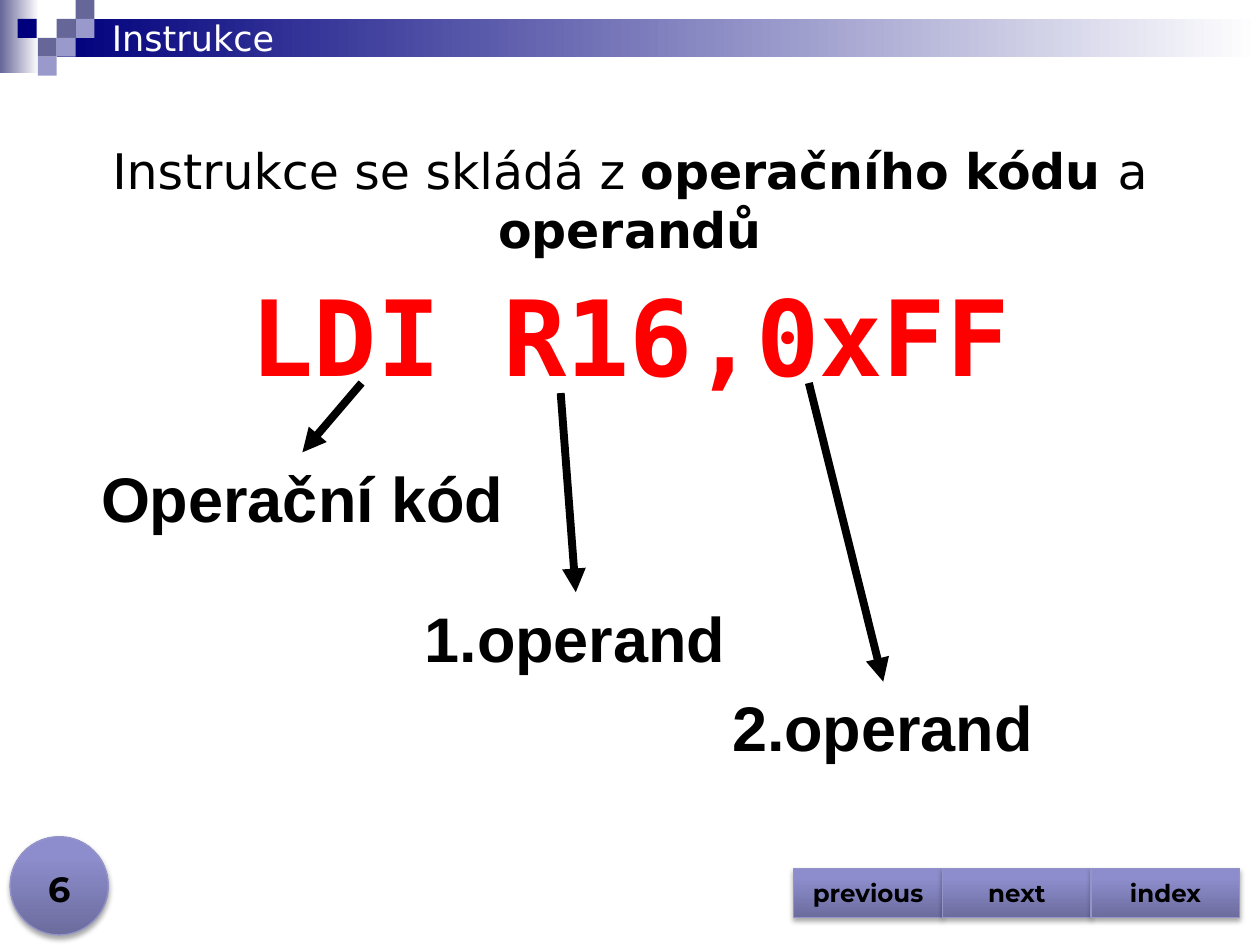
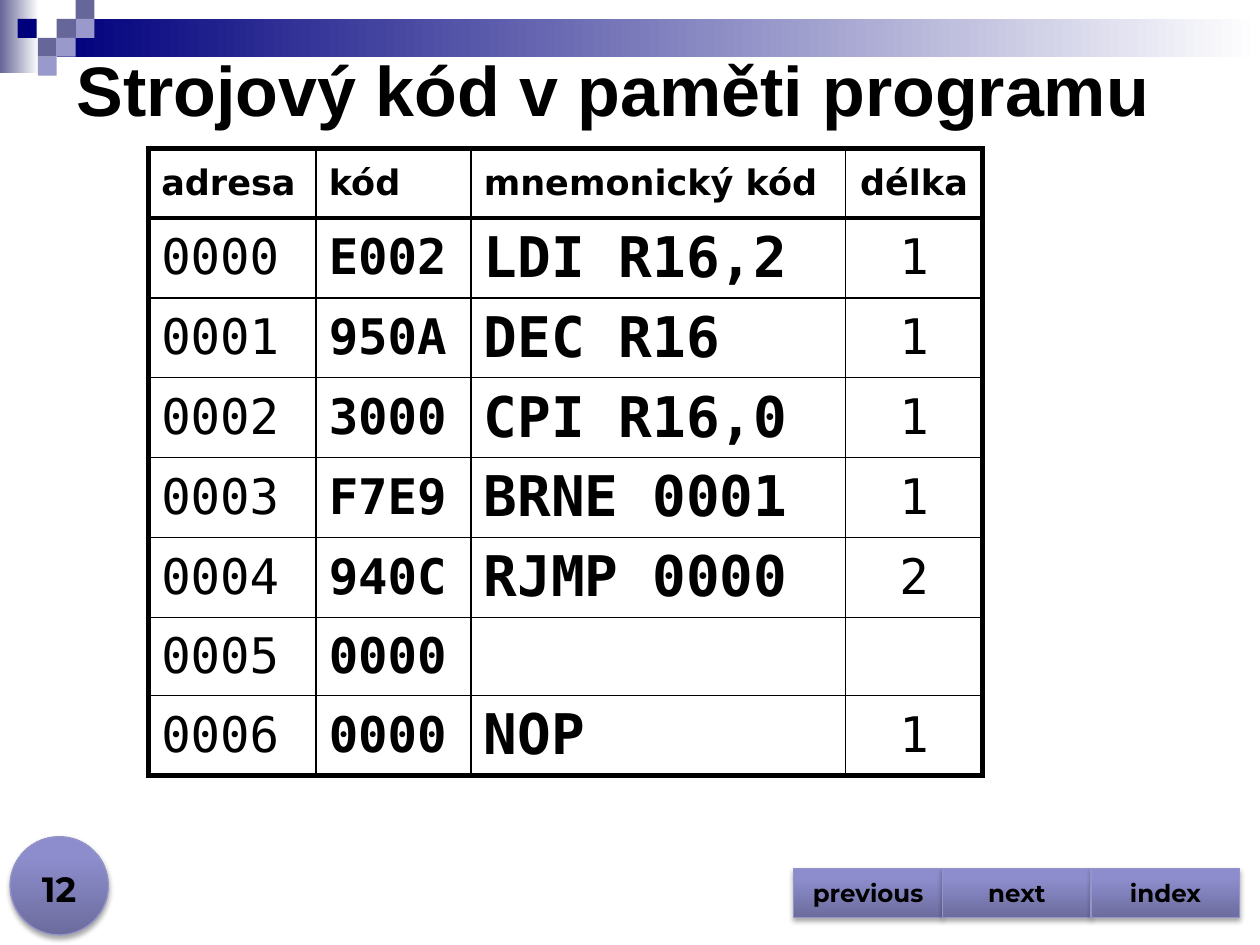
"""Build two slides on instruction format and machine code in program memory."""
from lxml import etree
from pptx import Presentation, util as u
from pptx.dml import color as dml
from pptx.enum import shapes, text
from pptx.oxml import ns, parse_xml

COLORS = {"navy": "00007D", "slate": "666699", "lavender": "9999CC", "white": "FFFFFF",
          "black": "000000", "red": "FF0000", "button_dark": "6C6C9E",
          "button_mid": "8D8DCD", "button_light": "8C8CCF", "button_line": "9494C9"}
SANS, MONO, ARIAL, NAVIGATION = "DejaVu Sans", "DejaVu Sans Mono", "Arial", "Montserrat"
LEFT, CENTER = text.PP_ALIGN.LEFT, text.PP_ALIGN.CENTER
TOP, MIDDLE, BOTTOM = text.MSO_ANCHOR.TOP, text.MSO_ANCHOR.MIDDLE, text.MSO_ANCHOR.BOTTOM
RECTANGLE = shapes.MSO_SHAPE.RECTANGLE
BUTTON_STOPS = [(0, "button_dark"), (80, "button_mid"), (100, "button_light")]
SQUARE = 0.15


def write(frame, words, size=36, font=ARIAL, color="black", bold=True, align=CENTER, anchor=MIDDLE):
    frame.word_wrap = True
    frame.vertical_anchor = anchor
    paragraph = frame.paragraphs[0]
    paragraph.alignment = align
    parts = [(words, bold)] if isinstance(words, str) else words
    for part, part_bold in parts:
        run = paragraph.add_run()
        run.text = part
        run.font.size = u.Pt(size)
        run.font.name = font
        run.font.bold = part_bold
        run.font.color.rgb = dml.RGBColor.from_string(COLORS[color])


def add_block(slide, preset, box, stops, angle=0, raised=False):
    shape = slide.shapes.add_shape(preset, *map(u.Inches, box))
    shape.shadow.inherit = False
    properties = shape._element.spPr
    if isinstance(stops, str):
        shape.fill.solid()
        shape.fill.fore_color.rgb = dml.RGBColor.from_string(COLORS[stops])
    else:
        shape.fill.gradient()
        shape.fill.gradient_angle = angle
        stop_list = properties.find(".//" + ns.qn("a:gsLst"))
        stop_list.clear()
        for position, name in stops:
            stop = etree.SubElement(stop_list, ns.qn("a:gs"), pos=str(position * 1000))
            etree.SubElement(stop, ns.qn("a:srgbClr"), val=COLORS[name])
    if raised:
        shape.line.color.rgb = dml.RGBColor.from_string(COLORS["button_line"])
        shape.line.width = u.Pt(0.75)
        properties.find(ns.qn("a:effectLst")).append(parse_xml(
            f'<a:outerShdw {ns.nsdecls("a")} blurRad="{u.Pt(3.1)}" dist="{u.Pt(1.8)}" dir="5400000" '
            f'rotWithShape="0"><a:srgbClr val="{COLORS["black"]}"><a:alpha val="35000"/>'
            '</a:srgbClr></a:outerShdw>'))
    else:
        shape.line.fill.background()
    return shape


presentation = Presentation()
presentation.slide_width, presentation.slide_height = u.Inches(10), u.Inches(7.5)
slides = []
for number in ("6", "12"):
    slide = presentation.slides.add_slide(presentation.slide_layouts[6])
    slides.append(slide)
    add_block(slide, RECTANGLE, (0, 0, 0.31, 0.58), [(0, "slate"), (100, "white")])
    add_block(slide, RECTANGLE, (0.45, 0.15, 9.55, 0.3), [(0, "navy"), (100, "white")])
    for left, top, color in [(0.45, 0.15, "slate"), (0.6, 0, "slate"), (0.6, 0.15, "lavender"),
                             (0.3, 0.3, "slate"), (0.14, 0.15, "navy"),
                             (0.45, 0.3, "lavender"), (0.3, 0.45, "lavender")]:
        add_block(slide, RECTANGLE, (left, top, SQUARE, SQUARE), color)
    add_block(slide, shapes.MSO_SHAPE.OVAL, (0.08, 6.64, 0.78, 0.78), BUTTON_STOPS, 90, True)
    number_box = slide.shapes.add_textbox(*map(u.Inches, (0, 6.77, 0.94, 0.5)))
    write(number_box.text_frame, number, size=20, font=NAVIGATION, anchor=BOTTOM)
    for index, label in enumerate(("previous", "next", "index")):
        button = add_block(slide, shapes.MSO_SHAPE.ACTION_BUTTON_CUSTOM,
                           (6.3 + index * 1.18, 6.89, 1.18, 0.39), BUTTON_STOPS, 90, True)
        write(button.text_frame, label, size=14, font=NAVIGATION)

instruction_slide, memory_slide = slides
sentence = [("Instrukce se skládá z ", False), ("operačního kódu ", True),
            ("a ", False), ("operandů", True)]
for slide, box, words, style in [
    (instruction_slide, (0.79, 0.08, 8.5, 0.44), "Instrukce",
     dict(size=20, font=SANS, color="white", bold=False, align=LEFT)),
    (instruction_slide, (0, 1.07, 10, 1.04), sentence, dict(size=28, font=SANS, anchor=TOP)),
    (instruction_slide, (0, 2.1, 10, 1.11), "LDI R16,0xFF", dict(size=60, font=MONO, color="red")),
    (instruction_slide, (0.67, 3.59, 3.46, 0.71), "Operační kód", {}),
    (instruction_slide, (3.11, 4.7, 2.91, 0.71), "1.operand", {}),
    (instruction_slide, (5.55, 5.41, 2.91, 0.71), "2.operand", {}),
    (memory_slide, (0.51, 0.31, 9.1, 0.79), "Strojový kód v paměti programu",
     dict(size=40, align=LEFT)),
]:
    text_box = slide.shapes.add_textbox(*map(u.Inches, box))
    write(text_box.text_frame, words, **style)

for ends in [(2.87, 3.04, 2.4, 3.59), (4.45, 3.12, 4.57, 4.7), (6.42, 3.04, 7.01, 5.41)]:
    arrow = instruction_slide.shapes.add_connector(shapes.MSO_CONNECTOR.STRAIGHT, *map(u.Inches, ends))
    arrow.line.width = u.Pt(4.5)
    arrow.line.color.rgb = dml.RGBColor.from_string(COLORS["black"])
    etree.SubElement(arrow.line._get_or_add_ln(), ns.qn("a:tailEnd"), type="triangle")
    etree.SubElement(arrow._element.spPr, ns.qn("a:effectLst"))

memory_rows = [
    ("adresa", "kód", "mnemonický kód", "délka"),
    ("0000", "E002", "LDI R16,2", "1"),
    ("0001", "950A", "DEC R16", "1"),
    ("0002", "3000", "CPI R16,0", "1"),
    ("0003", "F7E9", "BRNE 0001", "1"),
    ("0004", "940C", "RJMP 0000", "2"),
    ("0005", "0000", "", ""),
    ("0006", "0000", "NOP", "1"),
]
column_styles = [dict(size=28, bold=False, align=LEFT), dict(size=28, align=LEFT),
                 dict(size=32, align=LEFT), dict(size=28, bold=False)]
table = memory_slide.shapes.add_table(8, 4, *map(u.Inches, (1.18, 1.18, 6.62, 4.89))).table
table.first_row = table.horz_banding = False
for column, width in zip(table.columns, (1.33, 1.23, 2.97, 1.09)):
    column.width = u.Inches(width)
for row_index, values in enumerate(memory_rows):
    table.rows[row_index].height = u.Inches(0.62 if row_index else 0.55)
    for column_index, value in enumerate(values):
        cell = table.cell(row_index, column_index)
        cell.fill.background()
        cell.vertical_anchor = MIDDLE
        style = dict(column_styles[column_index], font=MONO)
        if row_index == 0:
            style.update(size=20, font=SANS, bold=True)
        if value:
            write(cell.text_frame, value, **style)
        thick_sides = {"L": column_index == 0, "R": column_index == 3,
                       "T": row_index <= 1, "B": row_index in (0, 7)}
        for position, (side, thick) in enumerate(thick_sides.items()):
            cell._tc.get_or_add_tcPr().insert(position, parse_xml(
                f'<a:ln{side} {ns.nsdecls("a")} w="{u.Pt(3 if thick else 1)}"><a:solidFill>'
                f'<a:srgbClr val="{COLORS["black"]}"/></a:solidFill></a:ln{side}>'))

presentation.save("out.pptx")
